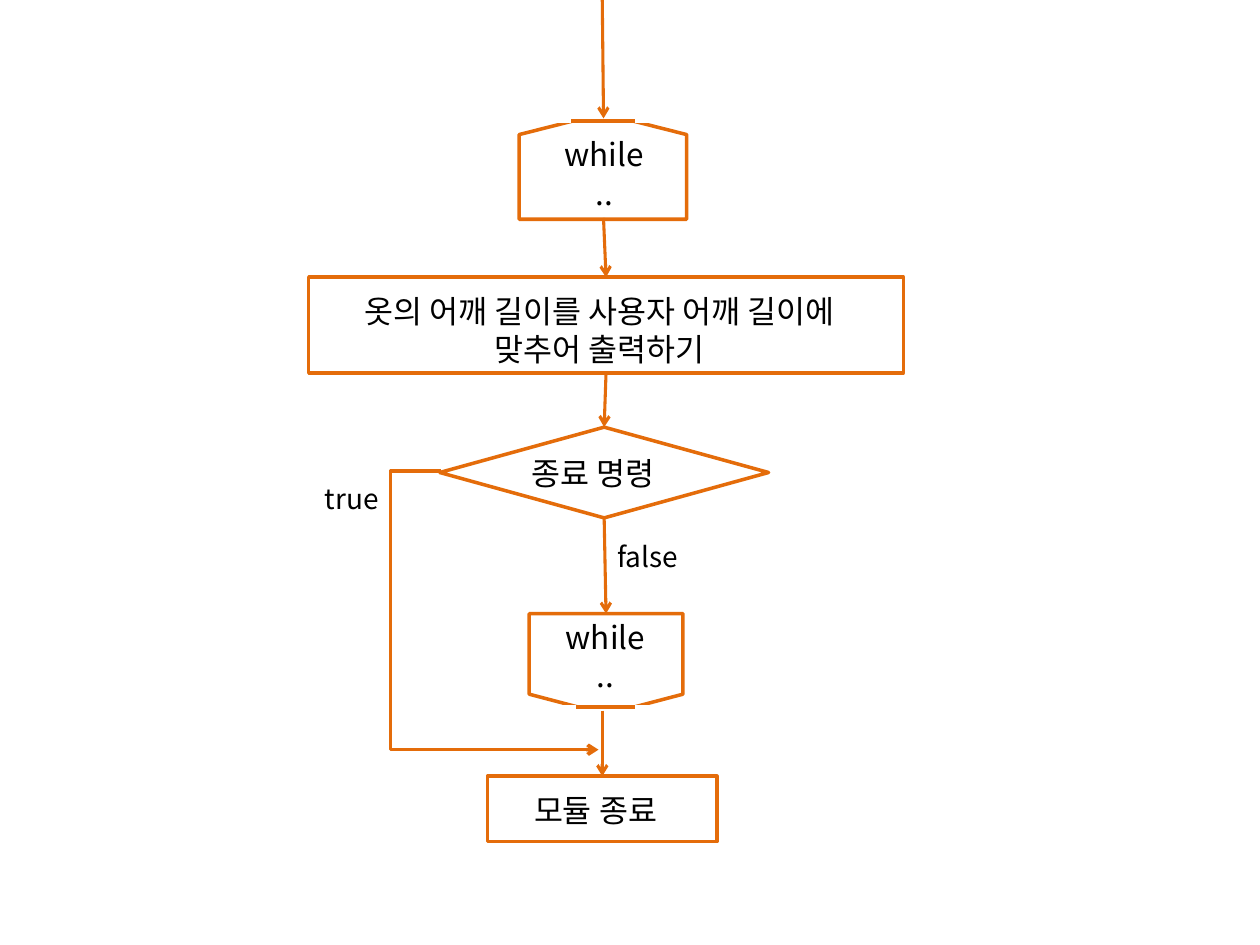
from lxml import etree
from pptx import Presentation, util as u
from pptx.dml.color import RGBColor
from pptx.enum import shapes, text
from pptx.oxml.ns import qn

COLORS = {"flow": "E46C0A", "paper": "FFFFFF", "ink": "000000"}
FONT = "Noto Sans CJK KR"
KIND = shapes.MSO_SHAPE

prs = Presentation()
prs.slide_width, prs.slide_height = u.Inches(10), u.Inches(7.5)
slide = prs.slides.add_slide(prs.slide_layouts[6])


def add_label(words, box, size=18, align=text.PP_ALIGN.LEFT):
    frame = slide.shapes.add_textbox(*map(u.Inches, box)).text_frame
    frame.word_wrap = False
    frame.auto_size = text.MSO_AUTO_SIZE.SHAPE_TO_FIT_TEXT
    frame.text = words
    for line in frame.paragraphs:
        line.alignment = align
        line.line_spacing = u.Pt(round(size * 1.22))
        for run in line.runs:
            run.font.name = FONT
            run.font.size = u.Pt(size)
            run.font.color.rgb = RGBColor.from_string(COLORS["ink"])
            east_asian = etree.SubElement(run.font._element, qn("a:ea"))
            east_asian.set("typeface", FONT)


def add_flow(start, end, kind=shapes.MSO_CONNECTOR.STRAIGHT, width=1.75, arrow=True):
    flow = slide.shapes.add_connector(kind, *map(u.Inches, start + end))
    flow.line.color.rgb = RGBColor.from_string(COLORS["flow"])
    flow.line.width = u.Pt(width)
    if arrow:
        etree.SubElement(flow.line._get_or_add_ln(), qn("a:tailEnd")).set("type", "arrow")
    etree.SubElement(flow._element.spPr, qn("a:effectLst"))
    return flow


steps = {}
for name, kind, box, rotation, fill, line in [
    ("loop end", KIND.FLOWCHART_OFFPAGE_CONNECTOR, (4.2, 4.87, 1.22, 0.8), 0, None, "flow"),
    ("end cover", KIND.RECTANGLE, (4.38, 5.61, 0.94, 0.23), 0, "paper", "paper"),
    ("loop start", KIND.FLOWCHART_OFFPAGE_CONNECTOR, (4.12, 0.9, 1.33, 0.84), 180, None, "flow"),
    ("start cover", KIND.RECTANGLE, (4.23, 0.72, 1.02, 0.24), 0, "paper", "paper"),
    ("module end", KIND.RECTANGLE, (3.87, 6.16, 1.82, 0.52), 0, None, "flow"),
    ("output", KIND.RECTANGLE, (2.45, 2.2, 4.72, 0.76), 0, None, "flow"),
    ("decision", KIND.DIAMOND, (3.49, 3.39, 2.61, 0.72), 0, None, "flow"),
]:
    step = slide.shapes.add_shape(kind, *map(u.Inches, box))
    step.rotation = rotation
    step.shadow.inherit = False
    if fill:
        step.fill.solid()
        step.fill.fore_color.rgb = RGBColor.from_string(COLORS[fill])
    else:
        step.fill.background()
    step.line.color.rgb = RGBColor.from_string(COLORS[line])
    step.line.width = u.Pt(2)
    steps[name] = step

add_flow((4.57, 5.61), (5.04, 5.61), width=2, arrow=False)
add_flow((5.04, 0.96), (4.53, 0.96), width=2, arrow=False)

add_flow((4.78, 0), (4.79, 0.94))
for start, end, source, target in [
    ((4.79, 1.73), (4.81, 2.2), None, "output"),
    ((4.81, 2.96), (4.8, 3.39), "output", "decision"),
    ((4.8, 4.11), (4.81, 4.87), "decision", "loop end"),
    ((4.78, 5.64), (4.78, 6.16), None, "module end"),
]:
    flow = add_flow(start, end)
    if source:
        flow.begin_connect(steps[source], 2)
    flow.end_connect(steps[target], 0)

exit_flow = add_flow((3.5, 3.74), (4.75, 5.95), shapes.MSO_CONNECTOR.ELBOW, width=2)
bend = etree.SubElement(exit_flow._element.spPr.find(qn("a:prstGeom")).get_or_add_avLst(), qn("a:gd"))
bend.set("name", "adj1")
bend.set("fmla", "val -32000")

center = text.PP_ALIGN.CENTER
add_label("옷의 어깨 길이를 사용자 어깨 길이에\n맞추어 출력하기", (2.55, 2.26, 4.41, 0.71), align=center)
for left, top in [(4.38, 1.02), (4.39, 4.85)]:
    add_label("while\n..", (left, top, 0.83, 0.71), align=center)
add_label("종료 명령", (4.12, 3.55, 1.3, 0.4))
add_label("모듈 종료", (4.14, 6.22, 1.3, 0.4))
add_label("true", (2.48, 3.76, 0.65, 0.37), size=16)
add_label("false", (4.8, 4.22, 0.73, 0.37), size=16)

prs.save("out.pptx")
